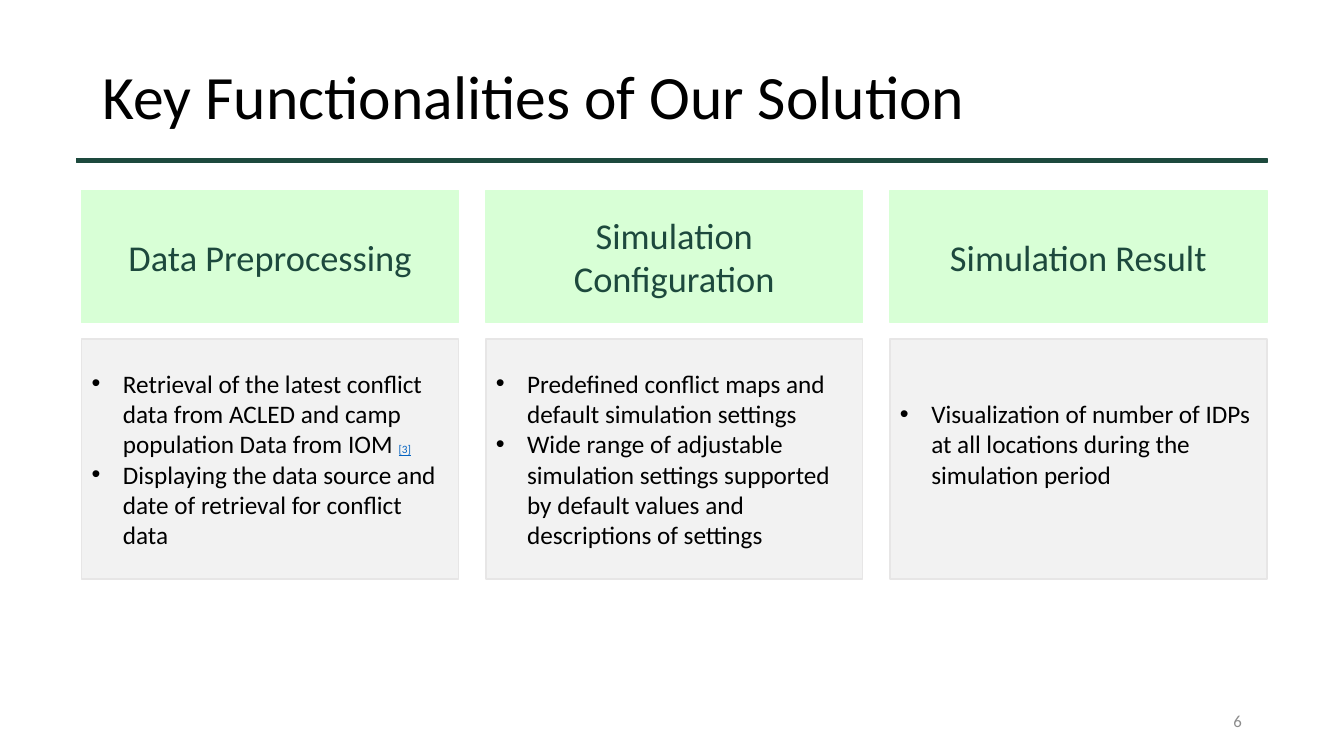
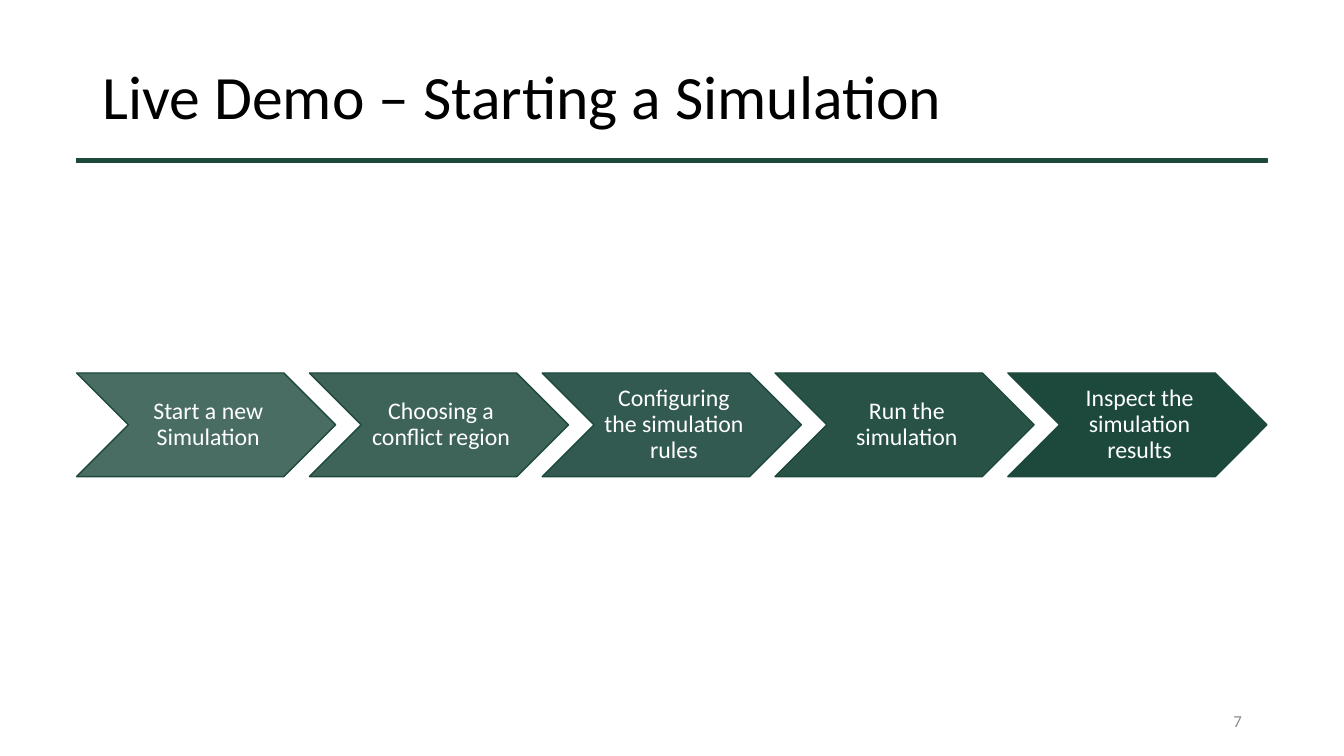
"""Build two slides: the key functions of the solution and the steps of its demo."""
import lxml.etree
import pptx
import pptx.dml.color
import pptx.enum.shapes
import pptx.enum.text
import pptx.oxml.ns
import pptx.util

Cm, Pt = pptx.util.Cm, pptx.util.Pt
RGB = pptx.dml.color.RGBColor.from_string
Kind = pptx.enum.shapes.MSO_SHAPE
Align = pptx.enum.text.PP_ALIGN
Mid = pptx.enum.text.MSO_ANCHOR.MIDDLE
qn = pptx.oxml.ns.qn

CARDS = [
    ("Data Preprocessing", [
        ["Retrieval of the latest conflict data from ACLED and camp population Data from IOM ", "[3]"],
        ["Displaying the data source and date of retrieval for conflict data"],
    ], 0.13),
    ("Simulation Configuration", [
        ["Predefined conflict maps and default simulation settings"],
        ["Wide range of adjustable simulation settings supported by default values "
         "and descriptions of settings"],
    ], 0.13),
    ("Simulation Result", [
        ["Visualization of number of IDPs at all locations during the simulation period"],
    ], 0.89),
]
STEPS = [
    "Start a new Simulation",
    "Choosing a conflict region",
    "Configuring the simulation rules",
    "Run the simulation",
    "Inspect the simulation results",
]


def font(size, color, **more):
    return {"name": "Calibri", "size": Pt(size), "color": RGB(color), **more}


THEME = {
    "green": "1D493D", "mint": "D8FFD6", "grey": "F2F2F2", "edge": "E7E6E6",
    "title": font(44, "000000"),
    "page": font(12, "8C8C8C"),
    "head": font(26, "1D493D"),
    "body": font(18, "000000"),
    "cite": font(8, "0563C1", underline=True),
    "step": font(17, "FFFFFF"),
}
LEFT, WIDE = 1.93, 30


def apply(item, values):
    for key, value in values.items():
        setattr(item, key, value)


def add_run(para, text, style):
    run = para.add_run()
    run.text = text
    values = dict(THEME[style])
    run.font.color.rgb = values.pop("color")
    apply(run.font, values)


def write(shape, text, style, align, space=1.0):
    apply(shape.text_frame, {"word_wrap": True, "vertical_anchor": Mid})
    para = shape.text_frame.paragraphs[0]
    apply(para, {"alignment": align, "line_spacing": space})
    add_run(para, text, style)


def add_box(slide, place, fill, line, kind=Kind.RECTANGLE):
    shape = slide.shapes.add_shape(kind, *map(Cm, place))
    shape.shadow.inherit = False
    shape.fill.solid()
    shape.fill.fore_color.rgb = RGB(THEME[fill])
    shape.line.color.rgb = RGB(THEME[line])
    shape.line.width = Pt(1)
    return shape


def add_list(shape, items):
    frame = shape.text_frame
    apply(frame, {"word_wrap": True, "vertical_anchor": Mid})
    for i, parts in enumerate(items):
        para = frame.add_paragraph() if i else frame.paragraphs[0]
        para.alignment = Align.LEFT
        props = para._p.get_or_add_pPr()
        props.set("marL", str(Cm(0.79)))
        props.set("indent", str(-Cm(0.79)))
        lxml.etree.SubElement(props, qn("a:buFont")).set("typeface", "Arial")
        lxml.etree.SubElement(props, qn("a:buChar")).set("char", "•")
        for text, style in zip(parts, ("body", "cite")):
            add_run(para, text, style)


def add_slide(deck, title, page):
    slide = deck.slides.add_slide(deck.slide_layouts[6])
    for place, text, style, align, space in (
        ((2.34, 1.01, 29.21, 3), title, "title", Align.LEFT, 0.9),
        ((23.93, 17.65, 7.62, 1.01), str(page), "page", Align.RIGHT, 1.0),
    ):
        write(slide.shapes.add_textbox(*map(Cm, place)), text, style, align, space)
    add_box(slide, (LEFT, 4, WIDE, 0.1), "green", "green")
    return slide


def add_cards(slide):
    left, wide = 2.06, 9.5
    pitch = (LEFT + WIDE - left - wide) / (len(CARDS) - 1)
    for i, (head, items, foot) in enumerate(CARDS):
        x = left + i * pitch
        top = add_box(slide, (x, 4.8, wide, 3.33), "mint", "mint")
        write(top, head, "head", Align.CENTER)
        card = add_box(slide, (x, 8.54, wide, 6.05), "grey", "edge")
        card.text_frame.margin_bottom = Cm(foot)
        add_list(card, items)


def add_steps(slide):
    wide = 6.53
    pitch = (WIDE - wide) / (len(STEPS) - 1)
    for i, text in enumerate(STEPS):
        place = (LEFT + i * pitch, 9.4, wide, 2.61)
        step = add_box(slide, place, "green", "green", Kind.CHEVRON)
        color = step._element.spPr.find(qn("a:solidFill"))[0]
        lxml.etree.SubElement(color, qn("a:alpha")).set("val", str(80000 + 5000 * i))
        apply(step.text_frame, {
            "margin_left": Cm(0.17), "margin_right": Cm(0.06),
            "margin_top": Cm(0.06), "margin_bottom": Cm(0.06),
        })
        write(step, text, "step", Align.CENTER, 0.9)


def main():
    deck = pptx.Presentation()
    apply(deck, {"slide_width": Cm(33.87), "slide_height": Cm(19.05)})
    add_cards(add_slide(deck, "Key Functionalities of Our Solution", 6))
    add_steps(add_slide(deck, "Live Demo – Starting a Simulation", 7))
    deck.save("out.pptx")


if __name__ == "__main__":
    main()
